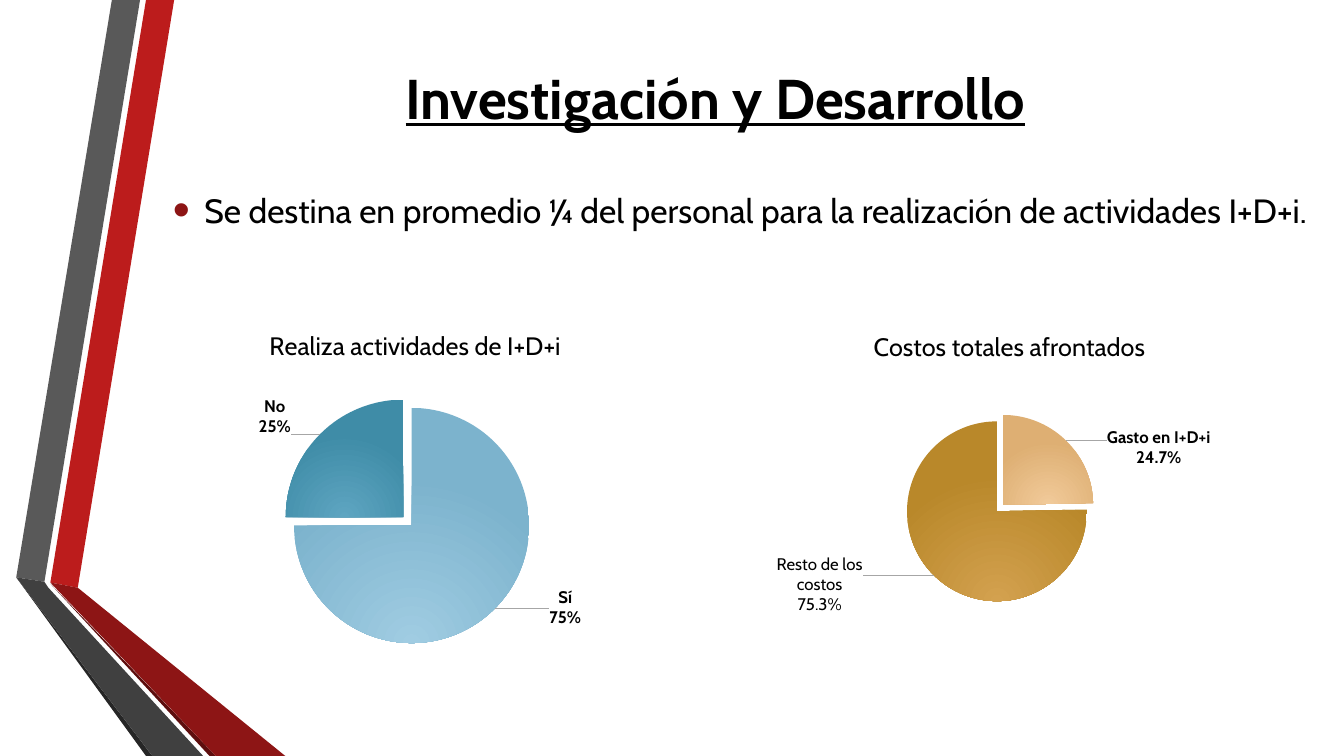
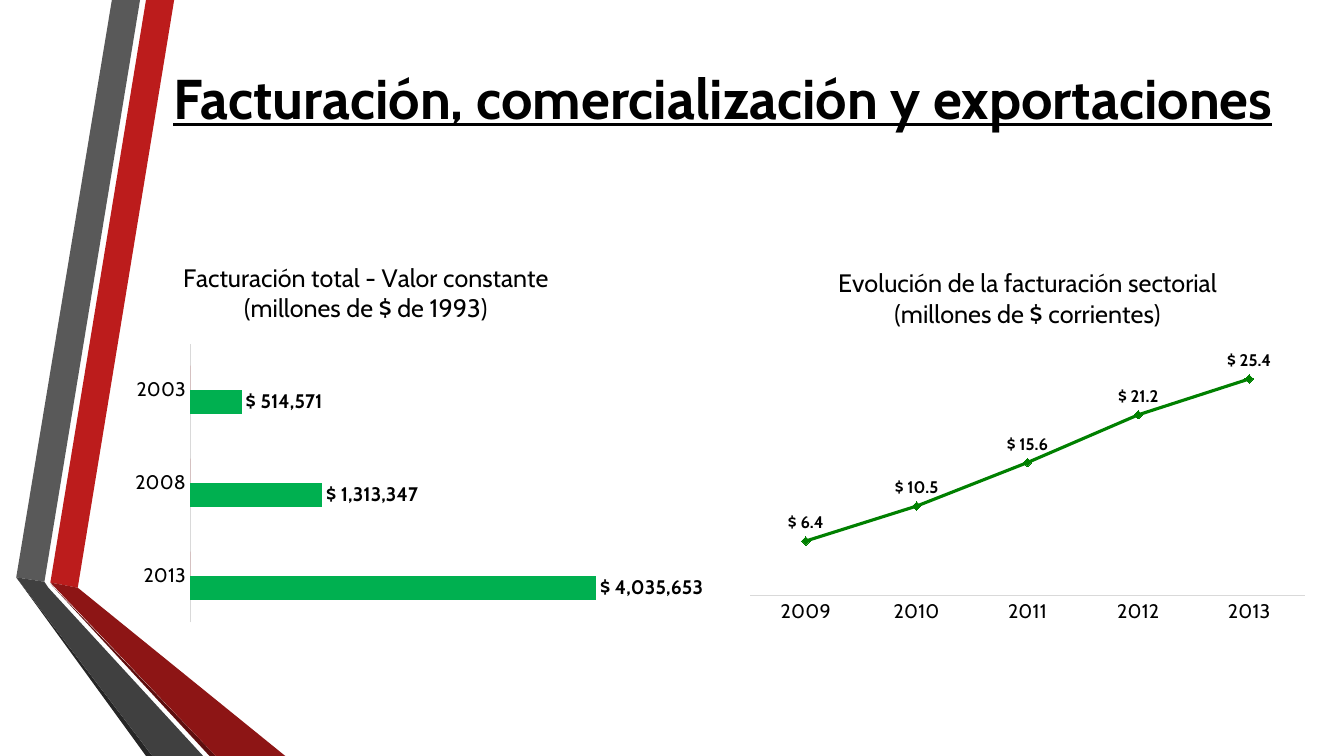
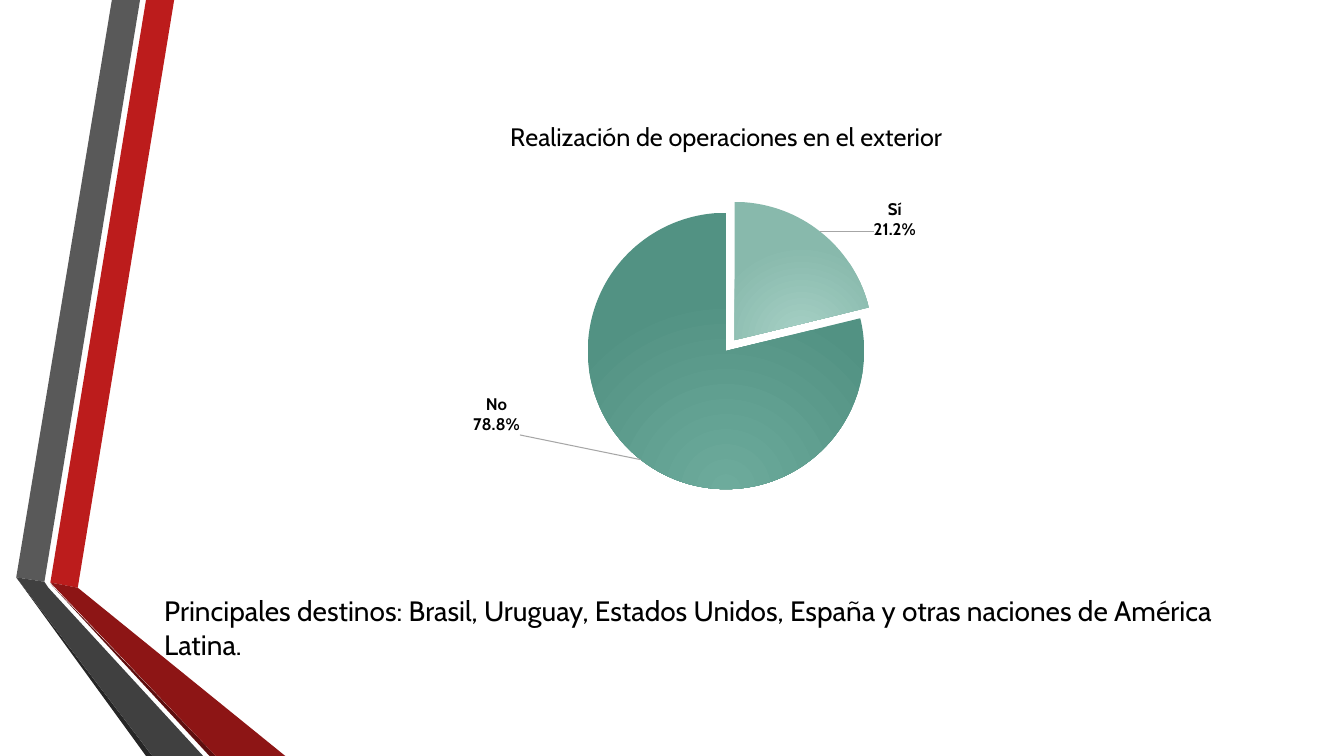
from dataclasses import dataclass

from lxml import etree
from pptx import Presentation
from pptx import util as u
from pptx.chart.data import CategoryChartData
from pptx.dml.color import RGBColor
from pptx.enum import chart as ch, text
from pptx.oxml import parse_xml
from pptx.oxml.ns import nsdecls, qn


@dataclass(frozen=True)
class Theme:
    font: str = "Cabin"
    ink: RGBColor = RGBColor(0, 0, 0)
    red: RGBColor = RGBColor.from_string("BC1C1C")
    dark_red: str = "8D1515"
    green: RGBColor = RGBColor.from_string("00B050")
    line_green: RGBColor = RGBColor.from_string("008000")
    axis: RGBColor = RGBColor.from_string("D9D9D9")
    leader: str = "A6A6A6"
    title: u.Pt = u.Pt(40)
    bullet: u.Pt = u.Pt(24)
    body: u.Pt = u.Pt(20)
    chart_title: u.Pt = u.Pt(18)
    axis_label: u.Pt = u.Pt(14)
    label: u.Pt = u.Pt(12)


T = Theme()


def style(font, size, bold=False):
    font.name, font.size, font.bold = T.font, size, bold
    font.color.rgb = T.ink


def set_layout(el, index, **place):
    old = el.find(qn("c:layout"))
    if old is not None:
        el.remove(old)
    layout = parse_xml(f"<c:layout {nsdecls('c')}><c:manualLayout/></c:layout>")
    for tag, val in place.items():
        etree.SubElement(layout[0], qn(f"c:{tag}")).set("val", str(val))
    el.insert(index, layout)


prs = Presentation()
prs.slide_width, prs.slide_height = u.Cm(33.87), u.Cm(19.05)

TITLE_ONLY, BLANK = 5, 6
slides = [prs.slides.add_slide(prs.slide_layouts[n]) for n in (TITLE_ONLY, TITLE_ONLY, BLANK)]
research, sales, exports = slides

bands = [
    ("BC1C1C", [(127, 1468), (196, 1481), (439, 0), (368, 0)]),
    ("595959", [(353, 0), (282, 0), (41, 1455), (112, 1466)]),
    ("262626", [(41, 1455), (368, 1905), (384, 1905)]),
    ("5E0E0E", [(127, 1471), (528, 1905), (544, 1905)]),
    (T.dark_red, [(127, 1468), (544, 1905), (719, 1905), (196, 1481)]),
    ("404040", [(512, 1905), (122, 1481), (112, 1466), (41, 1455), (384, 1905)]),
]
master_tree = prs.slide_master.shapes._spTree
for i, (color, pts) in enumerate(bands):
    fb = research.shapes.build_freeform(*pts[0], scale=u.Cm(0.01))
    fb.add_line_segments(pts[1:], close=True)
    sp = fb.convert_to_shape()
    sp.fill.solid()
    sp.fill.fore_color.rgb = RGBColor.from_string(color)
    sp.line.fill.background()
    sp.shadow.inherit = False
    master_tree.insert(2 + i, sp._element)

titles = [
    (research, "Investigación y Desarrollo", 4.11, 27.84),
    (sales, "Facturación, comercialización y exportaciones", 3.73, 28.98),
]
for s, words, left, width in titles:
    sp = s.shapes.title
    sp.left, sp.top, sp.width, sp.height = u.Cm(left), u.Cm(0), u.Cm(width), u.Cm(4.88)
    tf = sp.text_frame
    tf.text = words
    tf.auto_size = text.MSO_AUTO_SIZE.NONE
    tf.vertical_anchor = text.MSO_ANCHOR.MIDDLE
    p = tf.paragraphs[0]
    p.alignment = text.PP_ALIGN.CENTER
    style(p.runs[0].font, T.title, True)
    p.runs[0].font.underline = True

bodies = [
    (research, (4.11, 4.09, 29.49, 2.39), T.bullet, True,
     "Se destina en promedio ¼ del personal para la realización de actividades I+D+i."),
    (exports, (3.89, 13.82, 28.8, 3.96), T.body, False,
     "Principales destinos: Brasil, Uruguay, Estados Unidos, España y otras naciones de América Latina."),
]
for s, box, size, bulleted, words in bodies:
    tf = s.shapes.add_textbox(*map(u.Cm, box)).text_frame
    tf.word_wrap = True
    tf.vertical_anchor = text.MSO_ANCHOR.MIDDLE
    tf.text = words
    p = tf.paragraphs[0]
    if bulleted:
        pPr = p._p.get_or_add_pPr()
        pPr.set("marL", str(u.Cm(0.79)))
        pPr.set("indent", str(u.Cm(-0.79)))
        for xml in (
            f"<a:buClr {nsdecls('a')}><a:srgbClr val='{T.dark_red}'/></a:buClr>",
            f"<a:buSzPct {nsdecls('a')} val='145000'/>",
            f"<a:buFont {nsdecls('a')} typeface='Arial'/>",
            f"<a:buChar {nsdecls('a')} char='•'/>",
        ):
            pPr.append(parse_xml(xml))
    style(p.runs[0].font, size)

PIE = ch.XL_CHART_TYPE.PIE
specs = [
    (research, PIE, (4.11, 7.85, 12.7, 8.89), "Realiza actividades de I+D+i",
     ["Sí", "No"], [(0.75, 0.25)], (0.24, 0.19, 0.49, 0.81)),
    (research, PIE, (17.75, 7.87, 15.37, 8.81), "Costos totales afrontados",
     ["Gasto en I+D+i", "Resto de gastos"], [(0.247, 0.753)], (0.33, 0.29, 0.31, 0.54)),
    (sales, ch.XL_CHART_TYPE.BAR_CLUSTERED, (3.2, 6.25, 14.53, 9.63),
     "Facturación total - Valor constante (millones de $ de 1993)",
     ["2003", "2008", "2013"], [(0, 0, 0), (514571, 1313347, 4035653)], (0.11, 0.25, 0.79, 0.73)),
    (sales, ch.XL_CHART_TYPE.LINE_MARKERS, (18.62, 6.25, 14.55, 9.63),
     "Evolución de la facturación sectorial (millones de $ corrientes)",
     ["2009", "2010", "2011", "2012", "2013"], [(6.4, 10.5, 15.6, 21.2, 25.4)], (0.02, 0.24, 0.96, 0.67)),
    (exports, PIE, (7.77, 2.54, 21.06, 10.92), "Realización de operaciones en el exterior",
     ["Sí", "No"], [(0.212, 0.788)], (0.33, 0.23, 0.35, 0.67)),
]
charts = []
for s, kind, box, words, cats, rows, (x, y, w, h) in specs:
    data = CategoryChartData()
    data.categories = cats
    for n, row in enumerate(rows, 1):
        data.add_series(f"Series {n}", row)
    chart = s.shapes.add_chart(kind, *map(u.Cm, box), data).chart
    style(chart.font, T.label)
    chart.has_legend = False
    chart.has_title = True
    tf = chart.chart_title.text_frame
    tf.text = words
    style(tf.paragraphs[0].runs[0].font, T.chart_title)
    plot_area = chart._chartSpace.chart.plotArea
    set_layout(plot_area, 0, layoutTarget="inner", xMode="edge", yMode="edge", x=x, y=y, w=w, h=h)
    charts.append(chart)
staff, costs, bars, trend, abroad = charts

pies = [
    (staff, "0%", [("A0CCE2", "7CB3CD"), ("5EA5C1", "3F8CA7")], [(0.1, -0.07), (-0.05, 0.02)], {}),
    (costs, "0.0%", [("F1CA9A", "DEAF73"), ("D3A14F", "B9882A")], [(0.06, 0.09), (-0.11, -0.07)],
     {1: "Resto de los costos\n75.3%"}),
    (abroad, "0.0%", [("A7D1C6", "88B9AC"), ("6DAB9C", "529283")], [(0.06, 0.03), (-0.14, -0.16)], {}),
]
for chart, fmt, shades, offsets, custom in pies:
    plot = chart.plots[0]
    plot.vary_by_categories = True
    series = plot.series[0]
    series._element.find(qn("c:tx")).addnext(parse_xml(f"<c:explosion {nsdecls('c')} val='5'/>"))
    labels = series.data_labels
    labels.number_format, labels.number_format_is_linked = fmt, False
    labels.show_value = labels.show_category_name = True
    labels.position = ch.XL_LABEL_POSITION.BEST_FIT
    style(labels.font, T.label, True)
    for i, (stops, (dx, dy)) in enumerate(zip(shades, offsets)):
        pt = series.points[i]
        fill = pt.format.fill
        fill.gradient()
        for stop, color in zip(fill.gradient_stops, stops):
            stop.color.rgb = RGBColor.from_string(color)
        grad = fill._xPr.find(qn("a:gradFill"))
        grad.remove(grad.find(qn("a:lin")))
        grad.append(parse_xml(
            f"<a:path {nsdecls('a')} path='circle'>"
            "<a:fillToRect l='50000' t='100000' r='50000' b='0'/></a:path>"))
        pt.format.line.fill.background()

        label = pt.data_label
        if i in custom:
            label.text_frame.text = custom[i]
            for p in label.text_frame.paragraphs:
                style(p.runs[0].font, T.label)
        else:
            style(label.font, T.label, True)
        label.position = ch.XL_LABEL_POSITION.BEST_FIT
        el = label._dLbl
        set_layout(el, 1, x=dx, y=dy)
        if i not in custom:
            el.insert(2, parse_xml(f"<c:numFmt {nsdecls('c')} formatCode='{fmt}' sourceLinked='0'/>"))
        el.find(qn("c:showCatName")).set("val", "1")
        el.append(parse_xml(f"<c:separator {nsdecls('c')}>\n</c:separator>"))
    dLbls = labels._element
    for old in dLbls.findall(qn("c:showLeaderLines")):
        dLbls.remove(old)
    for xml in (
        f"<c:separator {nsdecls('c')}>\n</c:separator>",
        f"<c:showLeaderLines {nsdecls('c')} val='1'/>",
        f"<c:leaderLines {nsdecls('c', 'a')}><c:spPr><a:ln w='9525'><a:solidFill>"
        f"<a:srgbClr val='{T.leader}'/></a:solidFill></a:ln></c:spPr></c:leaderLines>",
    ):
        dLbls.append(parse_xml(xml))

for chart, top, fmt, size, pos in (
    (bars, 4500000, '"$" #,##0', T.axis_label, ch.XL_LABEL_POSITION.OUTSIDE_END),
    (trend, 30, '"$" #,##0.0', T.label, ch.XL_LABEL_POSITION.ABOVE),
):
    chart.plots[0].vary_by_categories = False
    value, cat = chart.value_axis, chart.category_axis
    value.minimum_scale, value.maximum_scale = 0, top
    value.has_major_gridlines = False
    value.visible = False
    cat.major_tick_mark = ch.XL_TICK_MARK.NONE
    cat.format.line.color.rgb = T.axis
    cat.format.line.width = u.Pt(0.75)
    style(cat.tick_labels.font, T.axis_label)
    labels = chart.plots[0].series[-1].data_labels
    labels.show_value = True
    labels.number_format, labels.number_format_is_linked = fmt, False
    labels.position = pos
    style(labels.font, size, True)

set_layout(bars.chart_title._element, 1, xMode="edge", yMode="edge", x=0.09, y=0.02)
bars.category_axis.reverse_order = True
bars.plots[0].gap_width = 182
for series, color in zip(bars.plots[0].series, (T.red, T.green)):
    series.format.fill.solid()
    series.format.fill.fore_color.rgb = color

series = trend.plots[0].series[0]
series.smooth = False
series.format.line.color.rgb = T.line_green
series.format.line.width = u.Pt(2.25)
series.marker.style, series.marker.size = ch.XL_MARKER_STYLE.DIAMOND, 6
series.marker.format.fill.solid()
series.marker.format.fill.fore_color.rgb = T.line_green
series.marker.format.line.color.rgb = T.line_green

prs.save("out.pptx")
